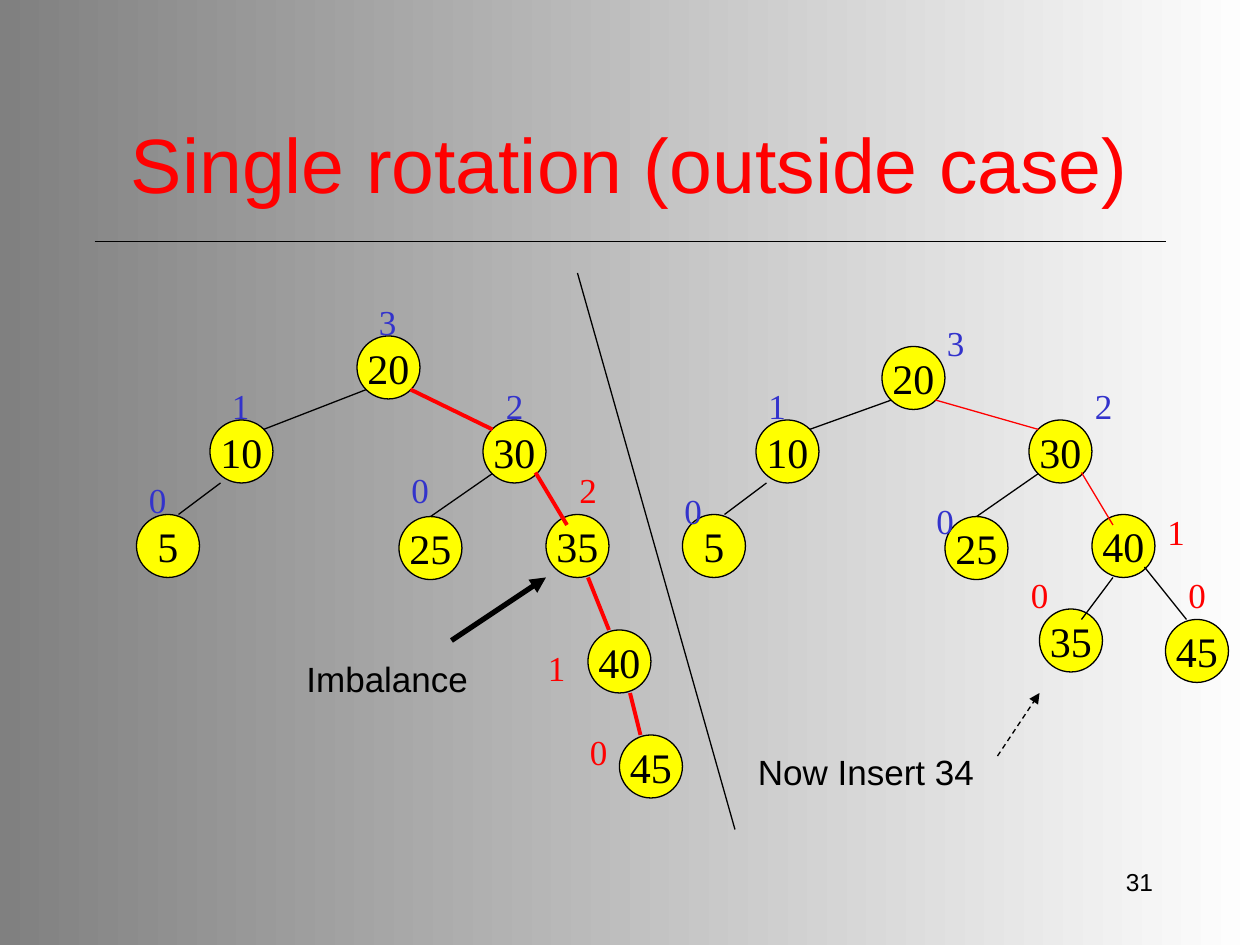
from lxml import etree
from pptx import Presentation
from pptx.dml.color import RGBColor
from pptx.enum.dml import MSO_LINE
from pptx.enum.shapes import MSO_CONNECTOR, MSO_SHAPE
from pptx.enum.text import MSO_ANCHOR, PP_ALIGN
from pptx.oxml.ns import qn
from pptx.util import Inches, Pt

LEFT, CENTER, RIGHT = PP_ALIGN.LEFT, PP_ALIGN.CENTER, PP_ALIGN.RIGHT
TOP, MIDDLE = MSO_ANCHOR.TOP, MSO_ANCHOR.MIDDLE
STRAIGHT, OVAL, DASH = MSO_CONNECTOR.STRAIGHT, MSO_SHAPE.OVAL, MSO_LINE.DASH

BLACK, RED, BLUE, YELLOW = "000000", "FF0000", "3333CC", "FFFF00"
SANS, SERIF = "Arial", "Times New Roman"
COLUMNS, ROWS = 120, 90
NODE_SIZE = 6

# key, column, row, then its height label: text, column, row, colour
BEFORE_NODES = [
    ("20", 34, 32, "3", 34.9, 28, BLUE),
    ("10", 20, 40, "1", 20.9, 36, BLUE),
    ("30", 46, 40, "2", 47, 36, BLUE),
    ("25", 38, 49.2, "0", 38, 44, BLUE),
    ("35", 52, 49, "2", 54, 44, RED),
    ("5", 13, 49, "0", 13, 45, BLUE),
    ("40", 56, 60, "1", 51, 61, RED),
    ("45", 59, 70, "0", 55, 69, RED),
]
AFTER_NODES = [
    ("20", 84, 33, "3", 89, 30, BLUE),
    ("10", 72, 40, "1", 72, 36, BLUE),
    ("30", 98, 40, "2", 103.1, 36, BLUE),
    ("25", 90, 49.2, "0", 88, 47, BLUE),
    ("40", 104, 49, "1", 110, 48, RED),
    ("5", 65, 49, "0", 64, 46, BLUE),
    ("35", 99, 58, "0", 97, 54, RED),
    ("45", 111, 59, "0", 112, 54, RED),
]
# start and end of each edge, and its colour
BEFORE_EDGES = [
    ((34.9, 37.1), (25.1, 40.9), BLACK),
    ((39.1, 37.1), (46.9, 40.9), RED),
    ((46.9, 45.1), (41, 49.2), BLACK),
    ((51, 45), (54, 50), RED),
    ((21, 46), (17, 49), BLACK),
    ((56, 55), (58, 60), RED),
    ((60, 66), (61, 70), RED),
]
AFTER_EDGES = [
    ((84.9, 38.1), (77.1, 40.9), BLACK),
    ((89.1, 38.1), (98.9, 40.9), RED),
    ((98.9, 45.1), (93, 49.2), BLACK),
    ((103, 45), (106, 50), RED),
    ((73, 46), (69, 49), BLACK),
    ((109, 54), (113, 59), BLACK),
    ((106, 55), (103, 59), BLACK),
]


def rgb(value):
    return RGBColor.from_string(value)


class TreeSlide:
    """Draws on one slide; all lengths are in grid columns and rows."""

    def __init__(self, deck):
        self.cell_width = deck.slide_width / COLUMNS
        self.cell_height = deck.slide_height / ROWS
        self.slide = deck.slides.add_slide(deck.slide_layouts[6])

    def place(self, column, row):
        return round(column * self.cell_width), round(row * self.cell_height)

    def background(self, first, last, angle):
        fill = self.slide.background.fill
        fill.gradient()
        fill.gradient_angle = angle
        for stop, color in zip(fill.gradient_stops, (first, last)):
            stop.color.rgb = rgb(color)

    def add_words(self, frame, words, size, font, color, align, anchor):
        frame.vertical_anchor = anchor
        paragraph = frame.paragraphs[0]
        paragraph.alignment = align
        run = paragraph.add_run()
        run.text = words
        run.font.size = Pt(size)
        run.font.name = font
        run.font.color.rgb = rgb(color)

    def text(self, words, column, row, width, height, size=20, font=SANS,
             color=BLACK, align=LEFT, anchor=TOP):
        box = self.slide.shapes.add_textbox(
            *self.place(column, row), *self.place(width, height))
        box.text_frame.word_wrap = True
        self.add_words(box.text_frame, words, size, font, color, align, anchor)

    def node(self, key, column, row):
        circle = self.slide.shapes.add_shape(
            OVAL, *self.place(column, row), *self.place(NODE_SIZE, NODE_SIZE))
        circle.shadow.inherit = False
        circle.fill.solid()
        circle.fill.fore_color.rgb = rgb(YELLOW)
        circle.line.color.rgb = rgb(BLACK)
        circle.line.width = Pt(0.75)
        circle.text_frame.word_wrap = False
        self.add_words(circle.text_frame, key, 24, SERIF, BLACK, CENTER, MIDDLE)

    def line(self, start, end, color=BLACK, weight=0.75, dash=None, arrow=False):
        connector = self.slide.shapes.add_connector(
            STRAIGHT, *self.place(*start), *self.place(*end))
        connector.line.color.rgb = rgb(color)
        connector.line.width = Pt(weight)
        if dash:
            connector.line.dash_style = dash
        properties = connector._element.spPr
        if arrow:
            etree.SubElement(properties.find(qn("a:ln")), qn("a:tailEnd"),
                             type="triangle")
        etree.SubElement(properties, qn("a:effectLst"))

    def tree(self, nodes, edges, red_weight):
        for key, column, row, *_ in nodes:
            self.node(key, column, row)
        for start, end, color in edges:
            self.line(start, end, color, red_weight if color == RED else 0.75)
        for *_, height, column, row, color in nodes:
            self.text(height, column, row, 4.1, 5.3, font=SERIF, color=color)


def main():
    deck = Presentation()
    deck.slide_width, deck.slide_height = Inches(10), Inches(7.5)
    page = TreeSlide(deck)
    page.background("FFFFFF", "808080", 180)

    page.line((9, 23), (111, 23))
    page.text("31", 86, 82, 25, 6, size=14, align=RIGHT)
    page.text("Single rotation (outside case)", 9, 8, 102, 15, size=44,
              color=RED, align=CENTER, anchor=MIDDLE)

    page.tree(BEFORE_NODES, BEFORE_EDGES, 2.25)
    page.text("Imbalance", 28, 62, 18, 5.3)
    page.line((43, 61), (52, 55), weight=3, arrow=True)

    page.line((55, 26), (70, 79))

    page.tree(AFTER_NODES, AFTER_EDGES, 0.75)
    page.text("Now Insert 34", 71, 70.9, 25, 5.3)
    page.line((95, 72), (99, 66), dash=DASH, arrow=True)

    deck.save("out.pptx")


if __name__ == "__main__":
    main()
